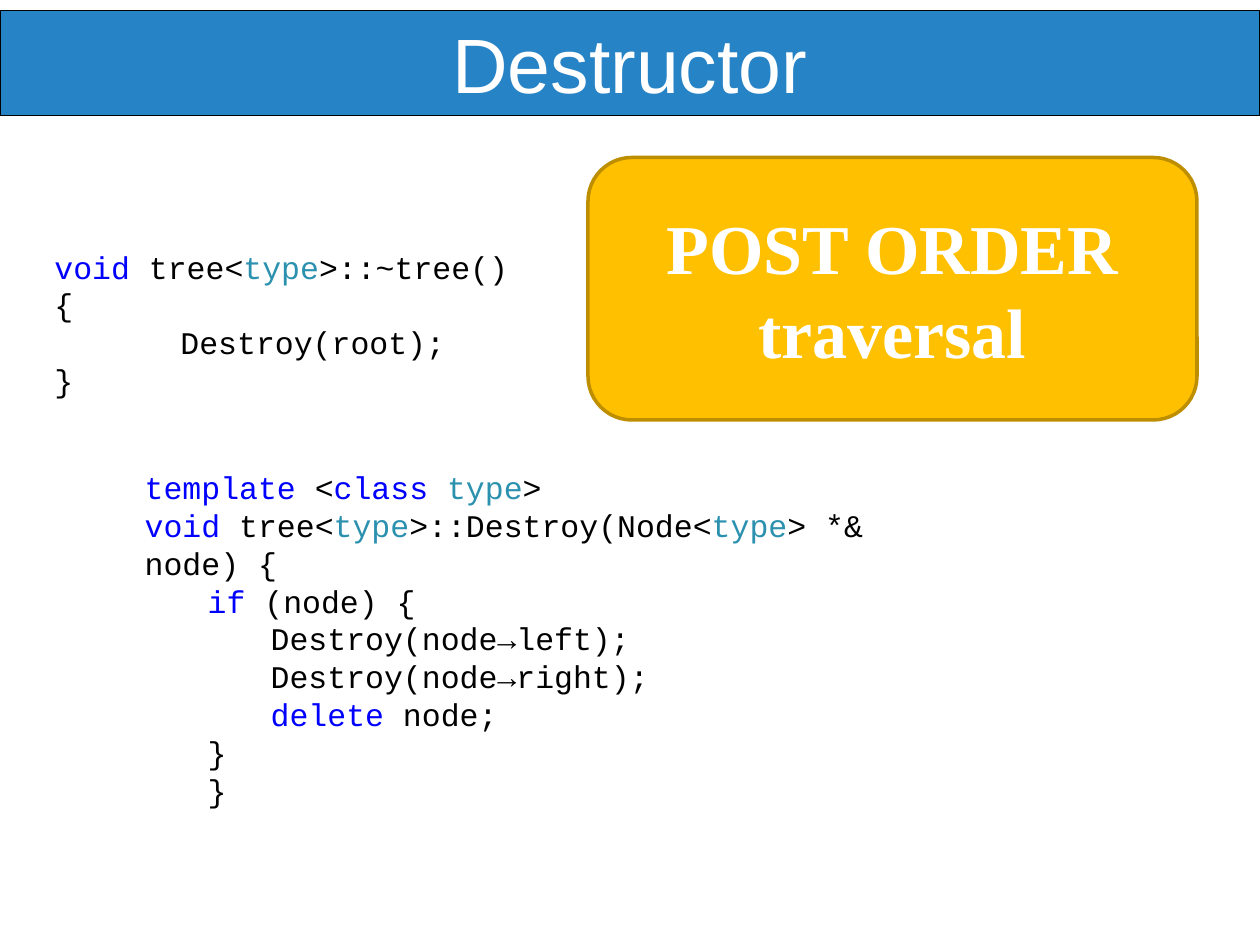
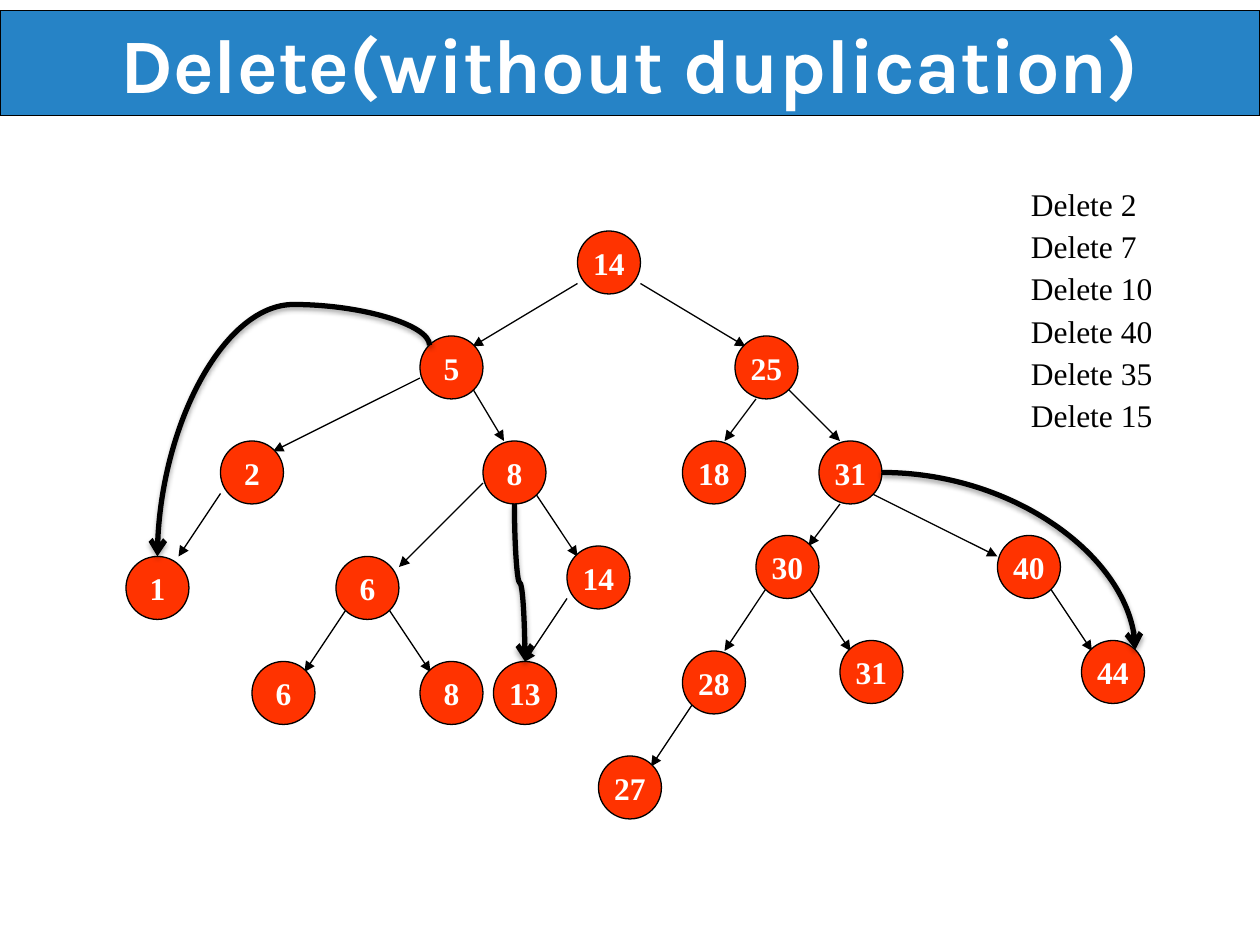
from lxml import etree
from pptx import Presentation
from pptx.dml.color import RGBColor
from pptx.enum.shapes import MSO_CONNECTOR, MSO_SHAPE
from pptx.enum.text import MSO_ANCHOR, PP_ALIGN
from pptx.oxml import parse_xml
from pptx.oxml.ns import nsdecls, qn
from pptx.util import Pt

RECT, ROUNDED, OVAL = MSO_SHAPE.RECTANGLE, MSO_SHAPE.ROUNDED_RECTANGLE, MSO_SHAPE.OVAL
STRAIGHT, CURVE = MSO_CONNECTOR.STRAIGHT, MSO_CONNECTOR.CURVE
CENTER, MIDDLE = PP_ALIGN.CENTER, MSO_ANCHOR.MIDDLE

BLACK = RGBColor(0x00, 0x00, 0x00)
WHITE = RGBColor(0xFF, 0xFF, 0xFF)
BLUE = RGBColor(0x26, 0x83, 0xC6)
GOLD = RGBColor(0xFF, 0xC0, 0x00)
DARK_GOLD = RGBColor(0xBD, 0x8E, 0x00)
RED = RGBColor(0xFF, 0x33, 0x00)
KEYWORD = RGBColor(0x00, 0x00, 0xFF)
TYPE = RGBColor(0x2B, 0x91, 0xAF)

SERIF, MONO = "Times New Roman", "Courier New"
SYNTAX = {"template": KEYWORD, "class": KEYWORD, "void": KEYWORD,
          "if": KEYWORD, "delete": KEYWORD, "type": TYPE}

# Code lines: indent level, then tokens parted by "|"
DESTRUCTOR = [
    (0, "void| tree<|type|>::~tree() {"),
    (2, "Destroy(root);"),
    (0, "}"),
]
DESTROY = [
    (0, "template| <|class| |type|>"),
    (0, "void| tree<|type|>::Destroy(Node<|type|> *& node) {"),
    (1, "if| (node) {"),
    (2, "Destroy(node→left);"),
    (2, "Destroy(node→right);"),
    (2, "delete| node;"),
    (1, "}"),
    (1, "}"),
]

# The tree lies on a 6 pt grid
GRID = 6
NODE_SIZE = 36
NODES = [  # key, left, top
    (14, 55, 22), (5, 40, 32), (25, 70, 32),
    (2, 21, 42), (8, 46, 42), (18, 65, 42), (31, 78, 42),
    (1, 12, 53), (6, 32, 53), (14, 54, 52), (30, 72, 51), (40, 95, 51),
    (6, 24, 63), (8, 40, 63), (13, 47, 63), (28, 65, 62), (31, 80, 61), (44, 103, 61),
    (27, 57, 72),
]
EDGES = [  # from x, y, to x, y
    (55, 27, 45, 33), (61, 27, 71, 33),
    (40, 36, 26, 43), (45, 37, 48, 42), (72, 38, 69, 42), (75, 37, 80, 42),
    (21, 47, 17, 53), (46, 46, 38, 54), (51, 47, 55, 53),
    (80, 48, 77, 52), (83, 47, 95, 53),
    (33, 58, 29, 64), (37, 58, 41, 64), (54, 57, 50, 63),
    (73, 56, 69, 62), (77, 56, 81, 62), (100, 56, 104, 62),
    (66, 67, 62, 73),
]
DELETED = [2, 7, 10, 40, 35, 15]


def style_run(r, size, font, color, bold=False):
    r.font.size, r.font.name, r.font.bold = Pt(size), font, bold
    r.font.color.rgb = color


def add_box(slide, kind, at, fill, line, weight, text, size, font, bold=True, wrap=True):
    sp = slide.shapes.add_shape(kind, *map(Pt, at))
    sp.shadow.inherit = False
    sp.fill.solid()
    sp.fill.fore_color.rgb = fill
    sp.line.color.rgb = line
    sp.line.width = Pt(weight)
    tf = sp.text_frame
    tf.word_wrap = wrap
    tf.vertical_anchor = MIDDLE
    tf.text = text
    p = tf.paragraphs[0]
    p.alignment = CENTER
    style_run(p.runs[0], size, font, WHITE, bold)


def add_titled_slide(prs, title, font, bold):
    slide = prs.slides.add_slide(prs.slide_layouts[6])
    add_box(slide, RECT, (0, 6, 720, 60), BLUE, BLACK, 0.75, title, 44, font, bold)
    return slide


def add_code(slide, at, lines):
    tf = slide.shapes.add_textbox(*map(Pt, at)).text_frame
    tf.word_wrap = True
    for i, (level, code) in enumerate(lines):
        p = tf.add_paragraph() if i else tf.paragraphs[0]
        p._p.get_or_add_pPr().set("marL", str(Pt(36 * level)))
        for token in code.split("|"):
            r = p.add_run()
            r.text = token
            style_run(r, 18, MONO, SYNTAX.get(token, BLACK))


def add_arrow(slide, kind, ends, weight, head):
    c = slide.shapes.add_connector(kind, *map(Pt, ends))
    c.line.color.rgb = BLACK
    c.line.width = Pt(weight)
    etree.SubElement(c.line._get_or_add_ln(), qn("a:tailEnd"), type=head)
    effects = etree.SubElement(c._element.spPr, qn("a:effectLst"))
    return c, effects


def add_curve(slide, start, end, bend=None):
    """Thick curved arrow; with a bend it leaves and arrives vertically."""
    (x1, y1), (x2, y2) = start, end
    ends = (x1, y1, x2, y2)
    if bend is not None:  # the same curve before a turn of 270 degrees
        cx, cy = (x1 + x2) / 2, (y1 + y2) / 2
        half_w, half_h = (y2 - y1) / 2, (x2 - x1) / 2
        ends = (cx + half_w, cy - half_h, cx - half_w, cy + half_h)
    c, effects = add_arrow(slide, CURVE, ends, 3, "arrow")
    spPr = c._element.spPr
    geom = spPr.find(qn("a:prstGeom"))
    if bend is None:
        geom.set("prst", "curvedConnector2")
    else:
        spPr.find(qn("a:xfrm")).set("rot", str(270 * 60000))
        guides = geom.find(qn("a:avLst"))
        etree.SubElement(guides, qn("a:gd"), name="adj1", fmla=f"val {round(bend * 100000)}")
    effects.append(parse_xml(
        f'<a:outerShdw {nsdecls("a")} blurRad="{Pt(3.1)}" dist="{Pt(1.8)}" dir="5400000" '
        'rotWithShape="0"><a:srgbClr val="000000"><a:alpha val="35000"/></a:srgbClr>'
        '</a:outerShdw>'))


def build_destructor(prs):
    slide = add_titled_slide(prs, "Destructor", "Arial", False)
    add_code(slide, (75.6, 264, 473, 181.5), DESTROY)
    add_code(slide, (24, 138, 283.5, 94.5), DESTRUCTOR)
    add_box(slide, ROUNDED, (336, 90, 348, 150), GOLD, DARK_GOLD, 2,
            "POST ORDER traversal", 40, SERIF)


def build_delete(prs):
    slide = add_titled_slide(prs, "Delete(without duplication)", "Karla", True)
    for edge in EDGES:
        add_arrow(slide, STRAIGHT, [GRID * v for v in edge], 0.75, "triangle")
    for key, x, y in NODES:
        add_box(slide, OVAL, (GRID * x, GRID * y, NODE_SIZE, NODE_SIZE),
                RED, BLACK, 0.75, str(key), 18, SERIF, wrap=False)
    add_curve(slide, (245.5, 197.3), (90, 318), bend=-0.193)
    add_curve(slide, (504, 270), (648.7, 371.3))
    add_curve(slide, (294, 288), (300, 378), bend=0.5)
    for i, key in enumerate(DELETED):
        tf = slide.shapes.add_textbox(Pt(582), Pt(102 + 24.2 * i), Pt(92), Pt(29)).text_frame
        tf.word_wrap = False
        tf.text = f"Delete {key}"
        style_run(tf.paragraphs[0].runs[0], 18, SERIF, BLACK)


def main():
    prs = Presentation()
    prs.slide_width, prs.slide_height = Pt(720), Pt(540)
    build_destructor(prs)
    build_delete(prs)
    prs.save("out.pptx")


if __name__ == "__main__":
    main()
